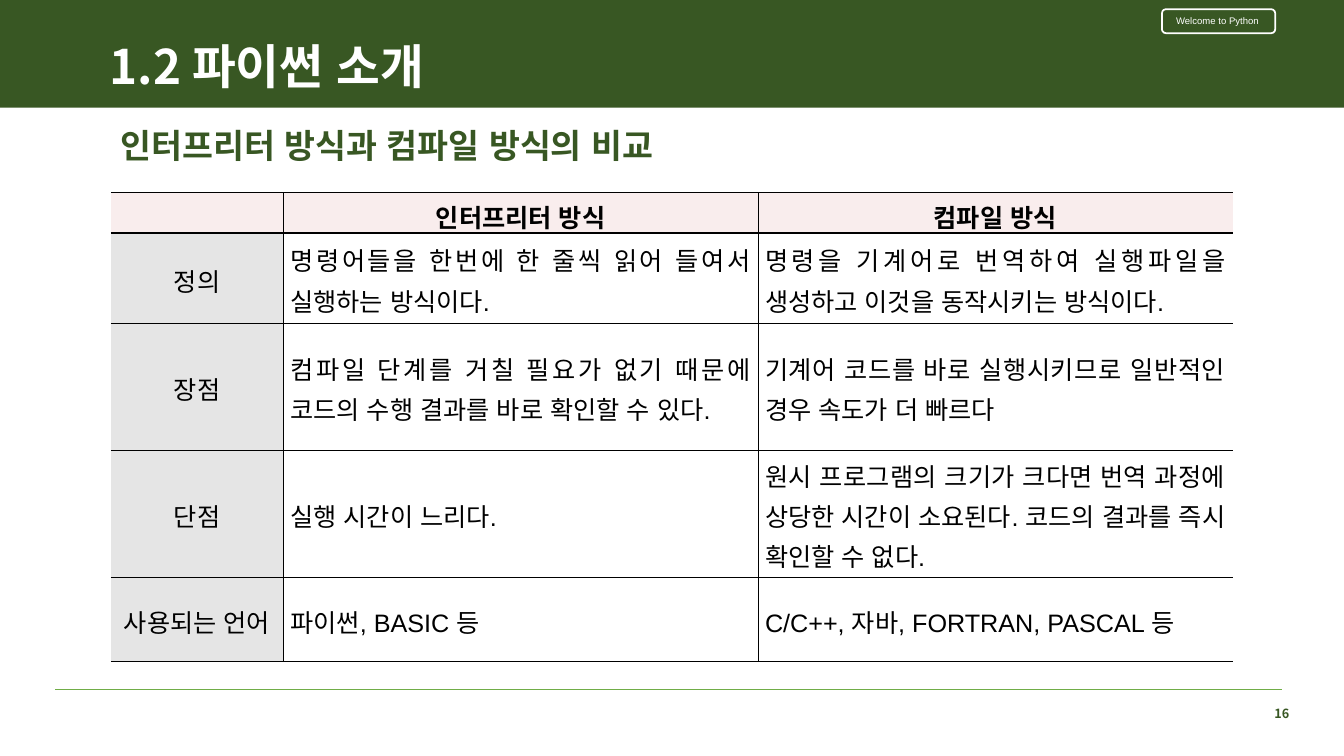
from lxml.etree import SubElement
from pptx import Presentation
from pptx.dml.color import RGBColor as RGB
from pptx.enum.lang import MSO_LANGUAGE_ID as LANG
from pptx.enum.shapes import MSO_CONNECTOR as CON, MSO_SHAPE as SHAPE
from pptx.enum.text import MSO_ANCHOR as ANCHOR, PP_ALIGN as ALIGN
from pptx.oxml.ns import qn
from pptx.util import Pt

COLORS = {"green": "385723", "rule": "70AD47", "white": "FFFFFF",
          "black": "000000", "pink": "F9EDED", "gray": "E5E5E5"}
SANS, KOREAN = "Arial", "Noto Sans CJK KR"
THIN, MID, THICK = 0.28, 0.56, 1.7

COLS = [123.1, 339.1, 339.1]
ROWS = [28.8, 64.8, 90.7, 90.7, 59.8]
EDGES = [MID, THICK, THIN, THIN, THIN, MID]
CELLS = [
    ["", "인터프리터 방식", "컴파일 방식"],
    ["정의", "명령어들을 한번에 한 줄씩 읽어 들여서 실행하는 방식이다.",
     "명령을 기계어로 번역하여 실행파일을 생성하고 이것을 동작시키는 방식이다."],
    ["장점", "컴파일 단계를 거칠 필요가 없기 때문에 코드의 수행 결과를 바로 확인할 수 있다.",
     "기계어 코드를 바로 실행시키므로 일반적인 경우 속도가 더 빠르다"],
    ["단점", "실행 시간이 느리다.",
     "원시 프로그램의 크기가 크다면 번역 과정에 상당한 시간이 소요된다. "
     "코드의 결과를 즉시 확인할 수 없다."],
    ["사용되는 언어", "파이썬, BASIC 등", "C/C++, 자바, FORTRAN, PASCAL 등"],
]


def color(name):
    return RGB.from_string(COLORS[name])


def write(frame, text, size=18, font=KOREAN, ink="black", bold=False,
          align=ALIGN.LEFT, space=1.0):
    para = frame.paragraphs[0]
    para.alignment, para.line_spacing = align, space
    run = para.add_run()
    run.text = text
    style = run.font
    style.size, style.bold, style.name = Pt(size), bold, font
    style.color.rgb = color(ink)
    style.language_id = LANG.KOREAN
    SubElement(run._r.get_or_add_rPr(), qn("a:ea"), typeface=KOREAN)


def border(cell, side, width):
    """Draw one cell edge; a width of 0 hides it."""
    line = SubElement(cell._tc.get_or_add_tcPr(), qn("a:ln" + side),
                      w=str(int(Pt(width))))
    if width:
        fill = SubElement(line, qn("a:solidFill"))
        SubElement(fill, qn("a:srgbClr"), val=COLORS["black"])
    else:
        SubElement(line, qn("a:noFill"))


class Page:
    def __init__(self, slide):
        self.shapes = slide.shapes

    def shape(self, kind, x, y, w, h, fill=None, line=None, width=1):
        item = self.shapes.add_shape(kind, Pt(x), Pt(y), Pt(w), Pt(h))
        item.shadow.inherit = False
        if fill:
            item.fill.solid()
            item.fill.fore_color.rgb = color(fill)
        else:
            item.fill.background()
        if line:
            item.line.color.rgb = color(line)
            item.line.width = Pt(width)
        else:
            item.line.fill.background()

    def text(self, text, x, y, w, h, anchor=ANCHOR.TOP, **style):
        frame = self.shapes.add_textbox(Pt(x), Pt(y), Pt(w), Pt(h)).text_frame
        frame.word_wrap = True
        frame.vertical_anchor = anchor
        write(frame, text, **style)

    def rule(self, x, y, end, ink, width):
        line = self.shapes.add_connector(CON.STRAIGHT, Pt(x), Pt(y), Pt(end), Pt(y))
        line.line.color.rgb = color(ink)
        line.line.width = Pt(width)
        SubElement(line._element.spPr, qn("a:effectLst"))

    def table(self, x, y):
        table = self.shapes.add_table(len(ROWS), len(COLS), Pt(x), Pt(y),
                                      Pt(sum(COLS)), Pt(sum(ROWS))).table
        table.first_row = table.horz_banding = False
        for col, width in zip(table.columns, COLS):
            col.width = Pt(width)
        for r, (row, texts) in enumerate(zip(table.rows, CELLS)):
            row.height = Pt(ROWS[r])
            for c, text in enumerate(texts):
                self.cell(table.cell(r, c), r, c, text)

    def cell(self, cell, r, c, text):
        cell.margin_left = cell.margin_right = Pt(5.1)
        cell.margin_top = cell.margin_bottom = Pt(1.4)
        cell.vertical_anchor = ANCHOR.MIDDLE
        border(cell, "L", MID if c else 0)
        border(cell, "R", MID if c < len(COLS) - 1 else 0)
        border(cell, "T", EDGES[r])
        border(cell, "B", EDGES[r + 1])
        if r == 0 or c == 0:
            cell.fill.solid()
            cell.fill.fore_color.rgb = color("gray" if r else "pink")
        else:
            cell.fill.background()
        if text:
            align = ALIGN.JUSTIFY if r and c else ALIGN.CENTER
            write(cell.text_frame, text, font=SANS, bold=r == 0,
                  align=align, space=1.1)


def main():
    deck = Presentation()
    deck.slide_width, deck.slide_height = Pt(960), Pt(540)
    page = Page(deck.slides.add_slide(deck.slide_layouts[6]))
    page.shape(SHAPE.RECTANGLE, 0, 0, 960, 77, fill="green")
    page.shape(SHAPE.ROUNDED_RECTANGLE, 830, 6.6, 80.9, 17.1,
               line="white", width=1.25)
    page.text("Welcome to Python", 833, 7.2, 80.9, 15.1,
              size=6.8, font=SANS, ink="white")
    page.rule(39.6, 492.4, 915.7, "rule", 0.5)
    page.text("16", 447.8, 500.4, 480.2, 18, size=9, ink="green",
              bold=True, align=ALIGN.RIGHT)
    page.text("인터프리터 방식과 컴파일 방식의 비교", 79.2, 88.6, 801.4, 45.4,
              size=24, ink="green", bold=True, space=0.9)
    page.text("1.2 파이썬 소개", 71.3, 27.4, 801.4, 43.9, anchor=ANCHOR.MIDDLE,
              size=34, ink="white", bold=True, space=0.9)
    page.table(79.2, 137.5)
    deck.save("out.pptx")


if __name__ == "__main__":
    main()
